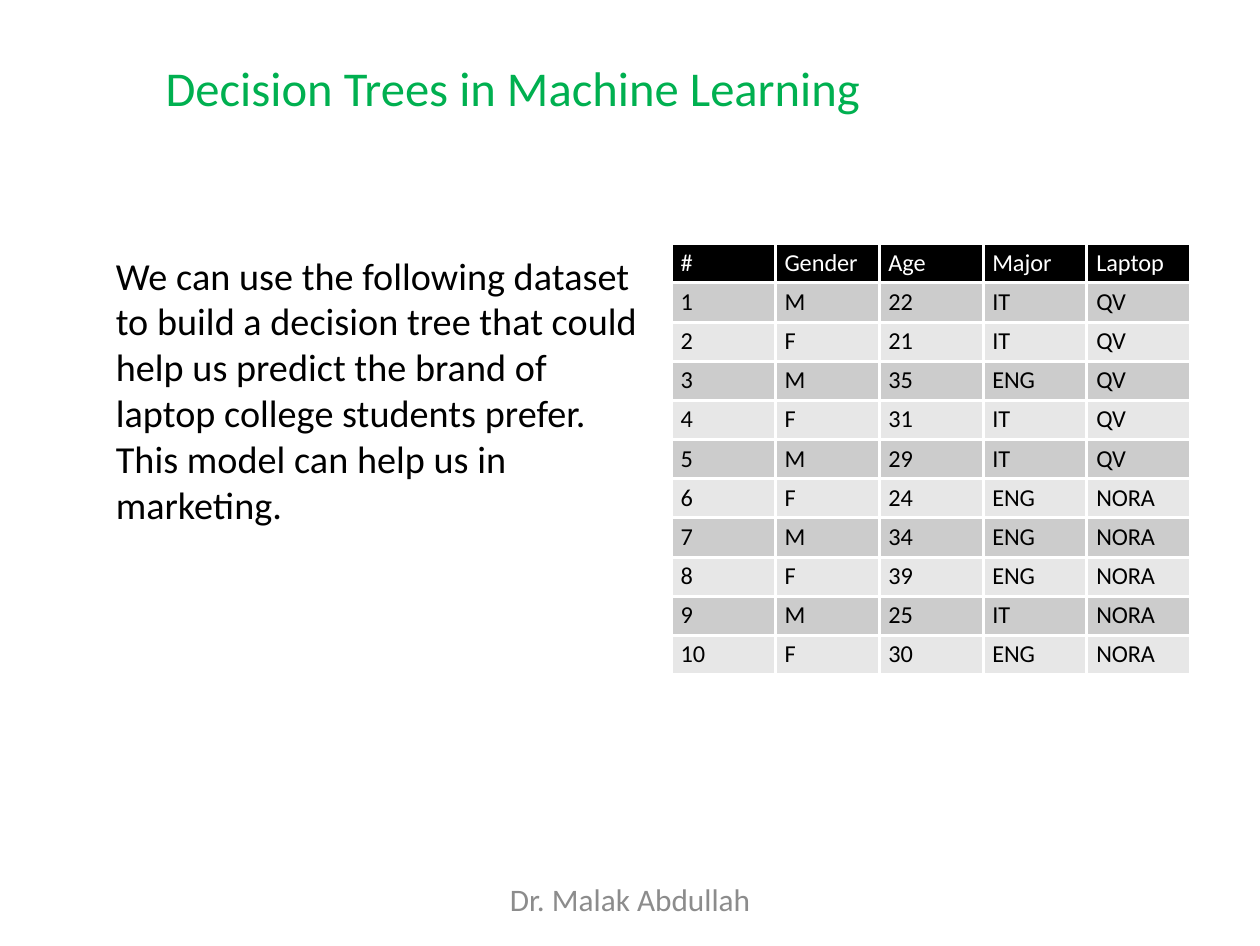
from dataclasses import dataclass

from lxml import etree
from pptx import Presentation
from pptx.dml.color import RGBColor
from pptx.enum.text import MSO_ANCHOR, MSO_AUTO_SIZE, PP_ALIGN
from pptx.oxml.ns import qn
from pptx.util import Pt

LEFT, CENTER = PP_ALIGN.LEFT, PP_ALIGN.CENTER
TOP = MSO_ANCHOR.TOP
NO_AUTOFIT = MSO_AUTO_SIZE.NONE
TITLE_ONLY = 5
SLIDE_WIDTH, SLIDE_HEIGHT = 363, 272.5


@dataclass(frozen=True)
class Theme:
    font: str = "Calibri"
    title: str = "00B050"
    ink: str = "000000"
    paper: str = "FFFFFF"
    footer: str = "8C8C8C"
    bands: tuple[str, str] = ("CCCCCC", "E7E7E7")
    title_size: float = 14
    body_size: float = 11
    footer_size: float = 9
    table_size: float = 7


@dataclass(frozen=True)
class TextBlock:
    left: float
    top: float
    width: float
    height: float
    lines: tuple[str, ...]
    size: float
    color: str
    align: PP_ALIGN = LEFT


THEME = Theme()

TITLE = TextBlock(47.7, 16.8, 267, 17.1, ("Decision Trees in Machine Learning",),
                  THEME.title_size, THEME.title)
BODY = TextBlock(33.4, 72.6, 154.2, 93.6, (
    "We can use the following dataset to build a decision tree that could "
    "help us predict the brand of laptop college students prefer.",
    "This model can help us in marketing.",
), THEME.body_size, THEME.ink)
FOOTER = TextBlock(123.5, 253.6, 116, 11, ("Dr. Malak Abdullah",),
                   THEME.footer_size, THEME.footer, CENTER)

HEADER = ("#", "Gender", "Age", "Major", "Laptop")
STUDENTS = (
    ("M", 22, "IT", "QV"),
    ("F", 21, "IT", "QV"),
    ("M", 35, "ENG", "QV"),
    ("F", 31, "IT", "QV"),
    ("M", 29, "IT", "QV"),
    ("F", 24, "ENG", "NORA"),
    ("M", 34, "ENG", "NORA"),
    ("F", 39, "ENG", "NORA"),
    ("M", 25, "IT", "NORA"),
    ("F", 30, "ENG", "NORA"),
)
TABLE_LEFT, TABLE_TOP = 193.4, 70.2
COLUMN_WIDTH, ROW_HEIGHT = 29.96, 11.29
BORDER_WIDTH = 1


def format_runs(tf, size: float, color: str, align: PP_ALIGN = LEFT) -> None:
    for p in tf.paragraphs:
        p.alignment = align
        for r in p.runs:
            r.font.name = THEME.font
            r.font.size = Pt(size)
            r.font.color.rgb = RGBColor.from_string(color)


def fill_text(sp, block: TextBlock) -> None:
    sp.left, sp.top = Pt(block.left), Pt(block.top)
    sp.width, sp.height = Pt(block.width), Pt(block.height)
    tf = sp.text_frame
    tf.text = "\n".join(block.lines)
    tf.word_wrap = True
    tf.auto_size = NO_AUTOFIT
    tf.vertical_anchor = TOP
    tf.margin_left = tf.margin_right = tf.margin_top = tf.margin_bottom = 0
    format_runs(tf, block.size, block.color, block.align)


def add_text(s, block: TextBlock) -> None:
    fill_text(s.shapes.add_textbox(0, 0, 0, 0), block)


def add_borders(cell) -> None:
    tc_pr = cell._tc.get_or_add_tcPr()
    for side in ("a:lnL", "a:lnR", "a:lnT", "a:lnB"):
        ln = etree.SubElement(tc_pr, qn(side), w=str(Pt(BORDER_WIDTH)))
        fill = etree.SubElement(ln, qn("a:solidFill"))
        etree.SubElement(fill, qn("a:srgbClr"), val=THEME.paper)


def format_cell(cell, text: str, fill: str, color: str) -> None:
    cell.text_frame.text = text
    cell.margin_left = cell.margin_right = Pt(2.7)
    cell.margin_top = cell.margin_bottom = Pt(1.35)
    add_borders(cell)
    cell.fill.solid()
    cell.fill.fore_color.rgb = RGBColor.from_string(fill)
    format_runs(cell.text_frame, THEME.table_size, color)


def add_dataset(s) -> None:
    rows = [HEADER] + [(n, *student) for n, student in enumerate(STUDENTS, 1)]
    table = s.shapes.add_table(
        len(rows), len(HEADER), Pt(TABLE_LEFT), Pt(TABLE_TOP),
        Pt(COLUMN_WIDTH * len(HEADER)), Pt(ROW_HEIGHT * len(rows))).table
    for column in table.columns:
        column.width = Pt(COLUMN_WIDTH)
    for i, values in enumerate(rows):
        table.rows[i].height = Pt(ROW_HEIGHT)
        fill = THEME.bands[(i - 1) % 2] if i else THEME.ink
        color = THEME.ink if i else THEME.paper
        for j, value in enumerate(values):
            format_cell(table.cell(i, j), str(value), fill, color)


def main() -> None:
    prs = Presentation()
    prs.slide_width, prs.slide_height = Pt(SLIDE_WIDTH), Pt(SLIDE_HEIGHT)
    s = prs.slides.add_slide(prs.slide_layouts[TITLE_ONLY])

    # Title and explanation
    fill_text(s.shapes.title, TITLE)
    add_text(s, BODY)

    # Student dataset
    add_dataset(s)

    # Footer
    add_text(s, FOOTER)

    prs.save("out.pptx")


if __name__ == "__main__":
    main()
